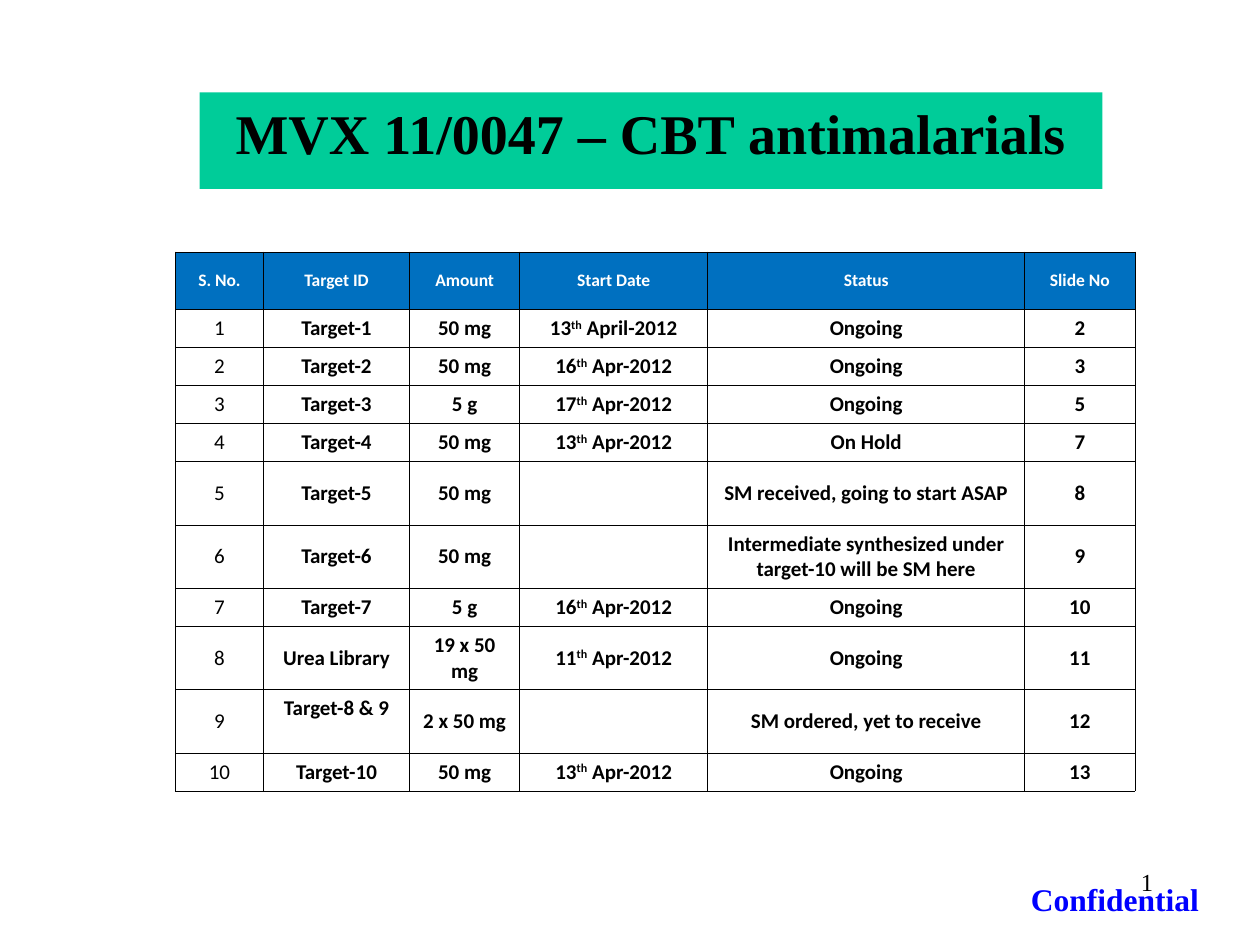
from dataclasses import dataclass

from lxml.etree import SubElement
from pptx import Presentation
from pptx.dml.color import RGBColor
from pptx.enum.shapes import MSO_SHAPE
from pptx.enum.text import MSO_ANCHOR, PP_ALIGN
from pptx.oxml.ns import qn
from pptx.util import Inches, Pt


@dataclass(frozen=True)
class Theme:
    """Colours, fonts and type sizes of the slide."""
    black: str = "000000"
    white: str = "FFFFFF"
    banner: str = "00CC99"
    header: str = "0070C0"
    notice: str = "0000FF"
    serif: str = "Times New Roman"
    sans: str = "Calibri"
    title_size: int = 32
    notice_size: int = 18
    number_size: int = 14
    body_size: int = 12
    header_size: int = 10
    border: float = 0.45


THEME = Theme()
COLUMNS, ROWS = 120, 90
SLIDE_WIDTH, SLIDE_HEIGHT = Inches(10), Inches(7.5)


def across(columns):
    """Return the length of a number of grid columns."""
    return round(SLIDE_WIDTH * columns / COLUMNS)


def down(rows):
    """Return the length of a number of grid rows."""
    return round(SLIDE_HEIGHT * rows / ROWS)


class SlideBuilder:
    """Holds the theme and the current slide, and adds elements to it."""

    def __init__(self, slide, theme):
        """Keep the slide and its theme."""
        self.slide, self.theme = slide, theme

    def add_words(self, frame, pieces, align, color, superscripts=(), **font):
        """Put text pieces into a frame as one formatted paragraph."""
        paragraph = frame.paragraphs[0]
        paragraph.alignment = align
        for index, piece in enumerate(pieces):
            run = paragraph.add_run()
            run.text = piece
            for name, value in font.items():
                setattr(run.font, name, value)
            run.font.color.rgb = RGBColor.from_string(color)
            if index in superscripts:
                run._r.get_or_add_rPr().set("baseline", "30000")

    def text(self, box, words, align, color, anchor=MSO_ANCHOR.TOP, **font):
        """Add a wrapping text box in grid units."""
        left, top, width, height = box
        shape = self.slide.shapes.add_textbox(
            across(left), down(top), across(width), down(height))
        shape.text_frame.word_wrap = True
        shape.text_frame.vertical_anchor = anchor
        self.add_words(shape.text_frame, [words], align, color, **font)

    def banner(self, box, words, fill, color, **font):
        """Add a filled rectangle with centred text."""
        left, top, width, height = box
        shape = self.slide.shapes.add_shape(
            MSO_SHAPE.RECTANGLE, across(left), down(top), across(width), down(height))
        shape.shadow.inherit = False
        shape.fill.solid()
        shape.fill.fore_color.rgb = RGBColor.from_string(fill)
        shape.line.fill.background()
        shape.text_frame.vertical_anchor = MSO_ANCHOR.TOP
        self.add_words(shape.text_frame, [words], PP_ALIGN.CENTER, color, **font)

    def border(self, cell):
        """Draw a thin line on each side of a cell."""
        properties = cell._tc.get_or_add_tcPr()
        for position, side in enumerate(("lnL", "lnR", "lnT", "lnB")):
            line = SubElement(properties, qn(f"a:{side}"), w=str(Pt(self.theme.border)))
            fill = SubElement(line, qn("a:solidFill"))
            SubElement(fill, qn("a:srgbClr"), val=self.theme.black)
            properties.insert(position, line)

    def cell(self, cell, words, row, column):
        """Fill, outline and label one table cell."""
        theme, is_header = self.theme, row == 0
        cell.fill.solid()
        cell.fill.fore_color.rgb = RGBColor.from_string(
            theme.header if is_header else theme.white)
        self.border(cell)
        cell.vertical_anchor = (
            MSO_ANCHOR.TOP if words == "Target-8 & 9" else MSO_ANCHOR.MIDDLE)
        if not words:
            return
        pieces, superscripts = [words], ()
        if column == DATE_COLUMN and not is_header:
            day, month = words.split()
            pieces, superscripts = [day, "th", f" {month}"], (1,)
        self.add_words(
            cell.text_frame, pieces, PP_ALIGN.CENTER,
            theme.white if is_header else theme.black, superscripts,
            name=theme.sans, bold=is_header or column > 0,
            size=Pt(theme.header_size if is_header else theme.body_size))

    def table(self, left, top, widths, heights, records):
        """Add a table with column widths and row heights in grid units."""
        table = self.slide.shapes.add_table(
            len(heights), len(widths), across(left), down(top),
            across(sum(widths)), down(sum(heights))).table
        for column, width in zip(table.columns, widths):
            column.width = across(width)
        for row, height in zip(table.rows, heights):
            row.height = down(height)
        for row, record in enumerate(records):
            for column, words in enumerate(record):
                self.cell(table.cell(row, column), words, row, column)


DATE_COLUMN = 3
HEADINGS = ("S. No.", "Target ID", "Amount", "Start Date", "Status", "Slide No")
TARGETS = (
    ("Target-1", "50 mg", "13 April-2012", "Ongoing", "2"),
    ("Target-2", "50 mg", "16 Apr-2012", "Ongoing", "3"),
    ("Target-3", "5 g", "17 Apr-2012", "Ongoing", "5"),
    ("Target-4", "50 mg", "13 Apr-2012", "On Hold", "7"),
    ("Target-5", "50 mg", "", "SM received, going to start ASAP", "8"),
    ("Target-6", "50 mg", "",
     "Intermediate synthesized under target-10 will be SM here", "9"),
    ("Target-7", "5 g", "16 Apr-2012", "Ongoing", "10"),
    ("Urea Library", "19 x 50 mg", "11 Apr-2012", "Ongoing", "11"),
    ("Target-8 & 9", "2 x 50 mg", "", "SM ordered, yet to receive", "12"),
    ("Target-10", "50 mg", "13 Apr-2012", "Ongoing", "13"),
)
WIDTHS = (8.4, 13.9, 10.5, 17.9, 30.2, 10.5)
HEADER_ROW, SINGLE_ROW, DOUBLE_ROW = 5.5, 3.62, 6.03
DOUBLE_NUMBERS = (5, 6, 8, 9)


def main():
    """Build and save the slide."""
    presentation = Presentation()
    presentation.slide_width, presentation.slide_height = SLIDE_WIDTH, SLIDE_HEIGHT
    slide = presentation.slides.add_slide(presentation.slide_layouts[6])
    builder = SlideBuilder(slide, THEME)
    builder.text((86, 82, 25, 6), "1", PP_ALIGN.RIGHT, THEME.black,
                 name=THEME.serif, size=Pt(THEME.number_size))
    builder.text((97, 83.2, 21, 4.8), "Confidential", PP_ALIGN.LEFT, THEME.notice,
                 MSO_ANCHOR.BOTTOM, name=THEME.serif, bold=True,
                 size=Pt(THEME.notice_size))
    builder.banner((19, 8.8, 86, 9.2), "MVX 11/0047 – CBT antimalarials",
                   THEME.banner, THEME.black, name=THEME.serif, bold=True,
                   size=Pt(THEME.title_size))
    records = [HEADINGS] + [
        (str(number), *target) for number, target in enumerate(TARGETS, 1)]
    heights = [HEADER_ROW] + [
        DOUBLE_ROW if number in DOUBLE_NUMBERS else SINGLE_ROW
        for number in range(1, len(records))]
    builder.table(16.7, 24, WIDTHS, heights, records)
    presentation.save("out.pptx")


main()
